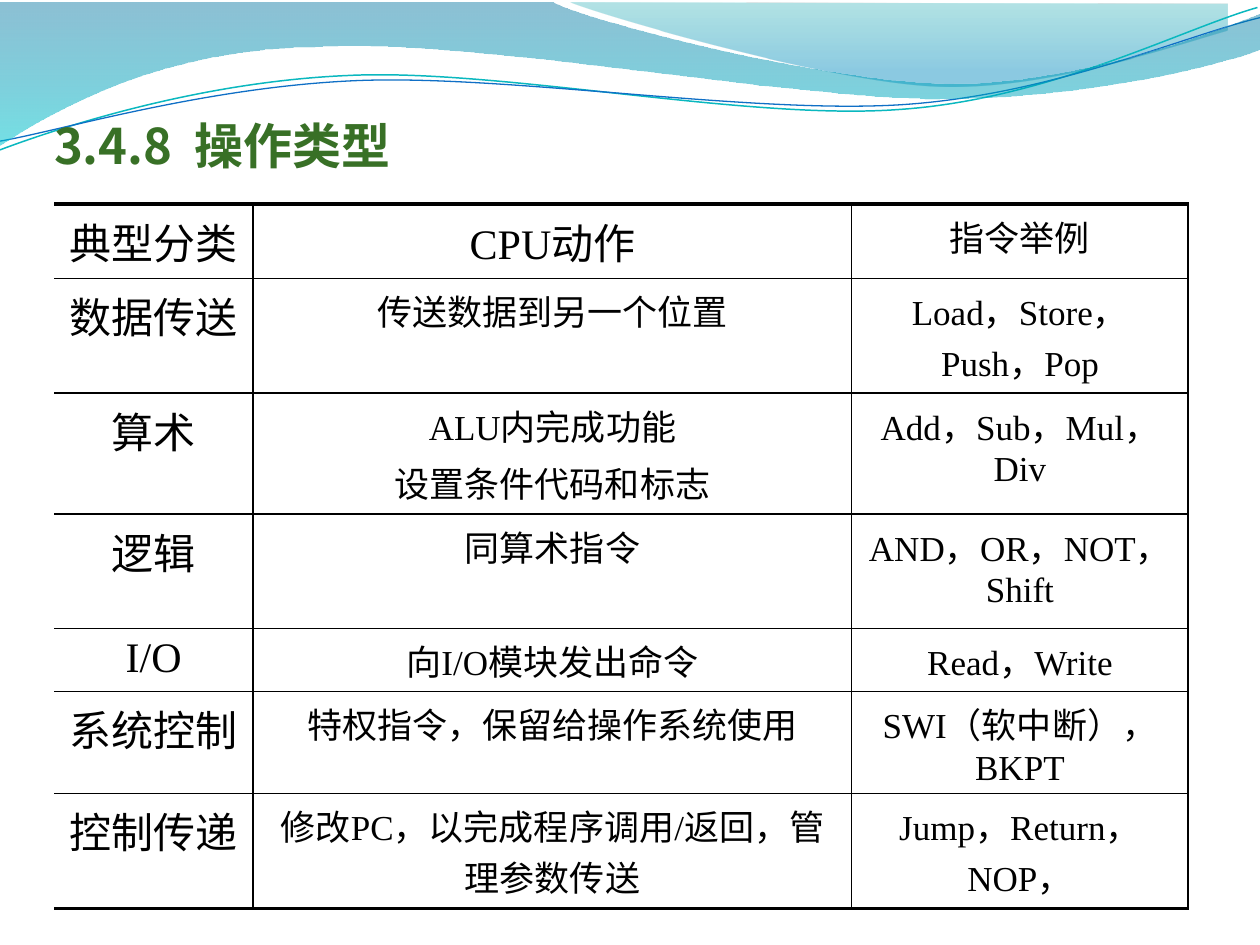
"""Build the slide on instruction types: a wave banner, a title and a table."""
from dataclasses import dataclass

from lxml.etree import Element, SubElement
from pptx import Presentation
from pptx.dml.color import RGBColor
from pptx.enum.text import MSO_ANCHOR as Anchor, PP_ALIGN as Align
from pptx.oxml.ns import qn
from pptx.util import Inches, Pt

BLACK = RGBColor(0x00, 0x00, 0x00)
GREEN = RGBColor(0x38, 0x70, 0x26)
TEAL_LINE = RGBColor(0x0A, 0xB8, 0xBF)
BLUE_LINE = RGBColor(0x0F, 0x6F, 0xC6)
TEAL = RGBColor(0x00, 0xA1, 0xA9)
BLUE = RGBColor(0x00, 0x8B, 0xBF)
DEEP_BLUE = RGBColor(0x00, 0x74, 0xA1)
CYAN = RGBColor(0x00, 0xC6, 0xCF)

SANS = "Noto Sans CJK JP"
SERIF = "Times New Roman"
THIN, THICK = Pt(1), Pt(2.25)


@dataclass(frozen=True)
class Stop:
    color: RGBColor
    position: float
    opacity: int


@dataclass(frozen=True)
class Wave:
    """Steps hold two numbers for a straight line or six for a Bezier curve."""
    start: tuple[float, float]
    steps: list[tuple[float, ...]]
    stops: tuple[Stop, ...] = ()
    line: RGBColor | None = None
    width: float = 0


@dataclass(frozen=True)
class Row:
    height: float
    texts: tuple[str, str, str]
    sizes: tuple[int, int, int] = (24, 20, 20)


WAVES = [
    Wave((4.53, 0.02),
         [(4.83, 0.14, 6.56, 0.64, 7.42, 0.68), (8.29, 0.72, 9.35, 0.35, 9.74, 0.24),
          (9.74, 0.03)],
         stops=(Stop(TEAL, 0, 30), Stop(BLUE, 0.8, 45))),
    Wave((0, 1.19),
         [(0.48, 1.01, 1.58, 0.65, 2.76, 0.6), (3.95, 0.54, 5.92, 0.96, 7.13, 0.87),
          (8.33, 0.79, 9.38, 0.23, 9.98, 0.06)],
         line=TEAL_LINE, width=0.85),
    Wave((0, 1.12),
         [(0.47, 1.04, 1.63, 0.69, 2.83, 0.64), (4.02, 0.59, 5.97, 0.91, 7.17, 0.83),
          (8.36, 0.75, 9.41, 0.28, 10, 0.14)],
         line=BLUE_LINE, width=0.75),
    Wave((-0.01, 0.02),
         [(4.39, 0.02), (4.75, 0.19, 6.62, 0.66, 7.57, 0.66),
          (8.52, 0.66, 9.57, 0.28, 9.99, 0.11), (10, 0.39),
          (9.82, 0.47, 8.69, 0.78, 7.45, 0.78), (6.21, 0.78, 3.81, 0.31, 2.56, 0.37),
          (1.28, 0.38, 0.45, 0.86, -0.02, 1.16)],
         stops=(Stop(DEEP_BLUE, 0, 45), Stop(CYAN, 1, 55))),
]

COLUMNS = (1.58, 4.75, 2.67)
ROWS = [
    Row(0.59, ("典型分类", "CPU动作", "指令举例"), (24, 24, 20)),
    Row(0.91, ("数据传送", "传送数据到另一个位置", "Load，Store，Push，Pop")),
    Row(0.96, ("算术", "ALU内完成功能\n设置条件代码和标志", "Add，Sub，Mul，Div")),
    Row(0.91, ("逻辑", "同算术指令", "AND，OR，NOT，Shift")),
    Row(0.5, ("I/O", "向I/O模块发出命令", "Read，Write")),
    Row(0.81, ("系统控制", "特权指令，保留给操作系统使用", "SWI（软中断），BKPT")),
    Row(0.91, ("控制传递", "修改PC，以完成程序调用/返回，管理参数传送", "Jump，Return，NOP，")),
]


def bend_segments(shape, steps: list[tuple[float, ...]]) -> None:
    segments = list(shape._element.spPr.iter(qn("a:lnTo")))
    for segment, step in zip(segments, steps):
        if len(step) == 2:
            continue
        curve = Element(qn("a:cubicBezTo"))
        for x, y in zip(step[::2], step[1::2]):
            SubElement(curve, qn("a:pt"), x=str(Inches(x) - shape.left),
                       y=str(Inches(y) - shape.top))
        segment.getparent().replace(segment, curve)


def draw_wave(page, wave: Wave) -> None:
    ends = [(Inches(step[-2]), Inches(step[-1])) for step in wave.steps]
    builder = page.shapes.build_freeform(Inches(wave.start[0]), Inches(wave.start[1]))
    builder.add_line_segments(ends, close=bool(wave.stops))
    shape = builder.convert_to_shape()
    bend_segments(shape, wave.steps)
    shape.shadow.inherit = False
    if wave.line is not None:
        shape.fill.background()
        shape.line.color.rgb = wave.line
        shape.line.width = Pt(wave.width)
        return
    shape.line.fill.background()
    shape.fill.gradient()
    shape.fill.gradient_angle = 270
    for target, stop in zip(shape.fill.gradient_stops, wave.stops):
        target.color.rgb = stop.color
        target.position = stop.position
    for color, stop in zip(shape._element.spPr.iter(qn("a:srgbClr")), wave.stops):
        SubElement(color, qn("a:alpha"), val=str(stop.opacity * 1000))


def style_paragraph(para, face: str, size: int, color: RGBColor, bold: bool = False) -> None:
    font = para.font
    font.name, font.size, font.bold = face, Pt(size), bold
    font.color.rgb = color
    SubElement(para._p.pPr.find(qn("a:defRPr")), qn("a:ea"), typeface=SANS)


def draw_title(page, text: str) -> None:
    box = page.shapes.add_textbox(Inches(0.43), Inches(0.13), Inches(9), Inches(1.25))
    frame = box.text_frame
    frame.word_wrap = True
    frame.vertical_anchor = Anchor.BOTTOM
    frame.margin_left = frame.margin_right = frame.margin_bottom = 0
    frame.margin_top = Inches(0.05)
    frame.text = text
    style_paragraph(frame.paragraphs[0], SANS, 28, GREEN, bold=True)


def set_borders(cell, widths: dict[str, int]) -> None:
    properties = cell._tc.get_or_add_tcPr()
    for index, (side, width) in enumerate(widths.items()):
        border = Element(qn(f"a:ln{side}"), w=str(int(width)))
        if width:
            fill = SubElement(border, qn("a:solidFill"))
            SubElement(fill, qn("a:srgbClr"), val=str(BLACK))
        else:
            SubElement(border, qn("a:noFill"))
        properties.insert(index, border)


def draw_table(page, rows: list[Row]) -> None:
    height = sum(row.height for row in rows)
    table = page.shapes.add_table(len(rows), len(COLUMNS), Inches(0.43), Inches(1.62),
                                  Inches(sum(COLUMNS)), Inches(height)).table
    table.first_row = table.horz_banding = False
    for column, width in zip(table.columns, COLUMNS):
        column.width = Inches(width)
    for r, row in enumerate(rows):
        table.rows[r].height = Inches(row.height)
        for c, (text, size) in enumerate(zip(row.texts, row.sizes)):
            cell = table.cell(r, c)
            cell.fill.background()
            cell.text = text
            for para in cell.text_frame.paragraphs:
                para.alignment = Align.CENTER
                para.space_before = Pt(size * 0.2)
                style_paragraph(para, SERIF, size, BLACK)
            set_borders(cell, {"L": THIN if c else 0, "R": THIN,
                               "T": THIN if r else THICK,
                               "B": THICK if r == len(rows) - 1 else THIN})


def main() -> None:
    deck = Presentation()
    deck.slide_width, deck.slide_height = Inches(10), Inches(7.5)
    page = deck.slides.add_slide(deck.slide_layouts[6])
    for wave in WAVES:
        draw_wave(page, wave)
    draw_title(page, "3.4.8  操作类型")
    draw_table(page, ROWS)
    deck.save("out.pptx")


if __name__ == "__main__":
    main()
